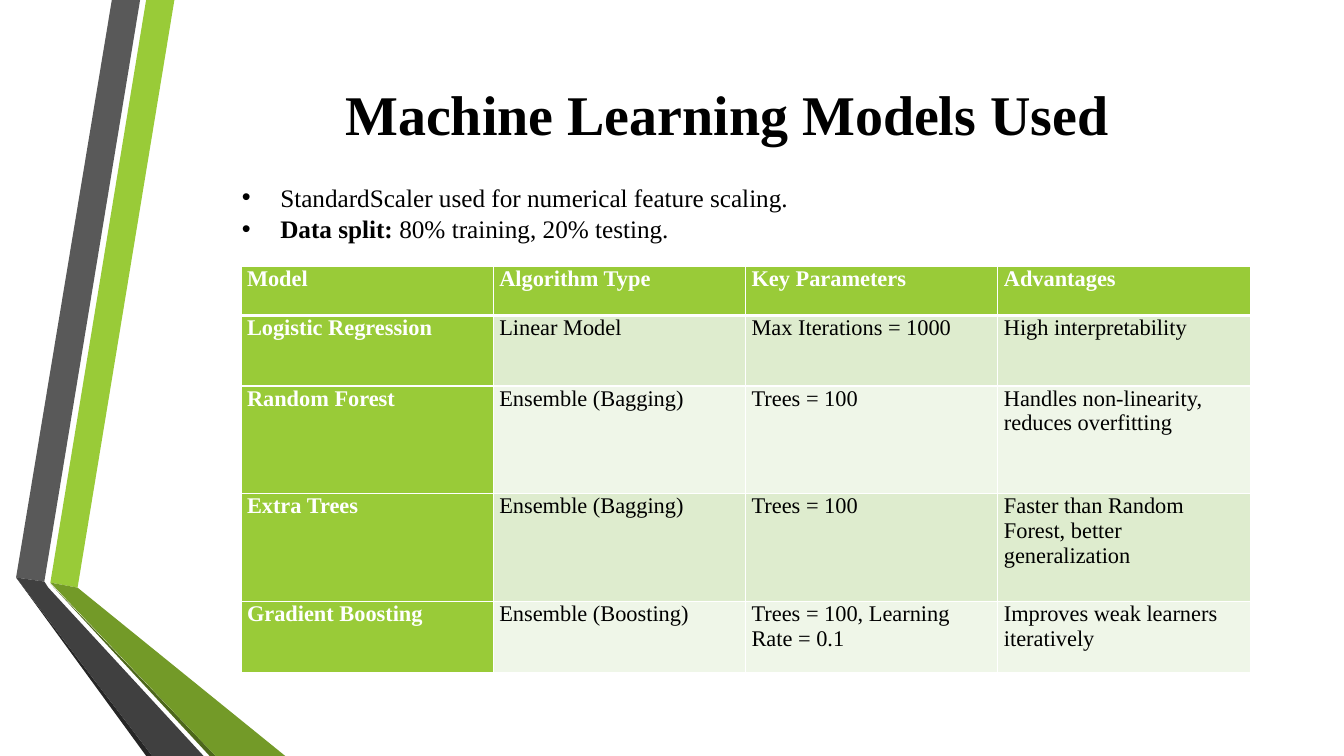
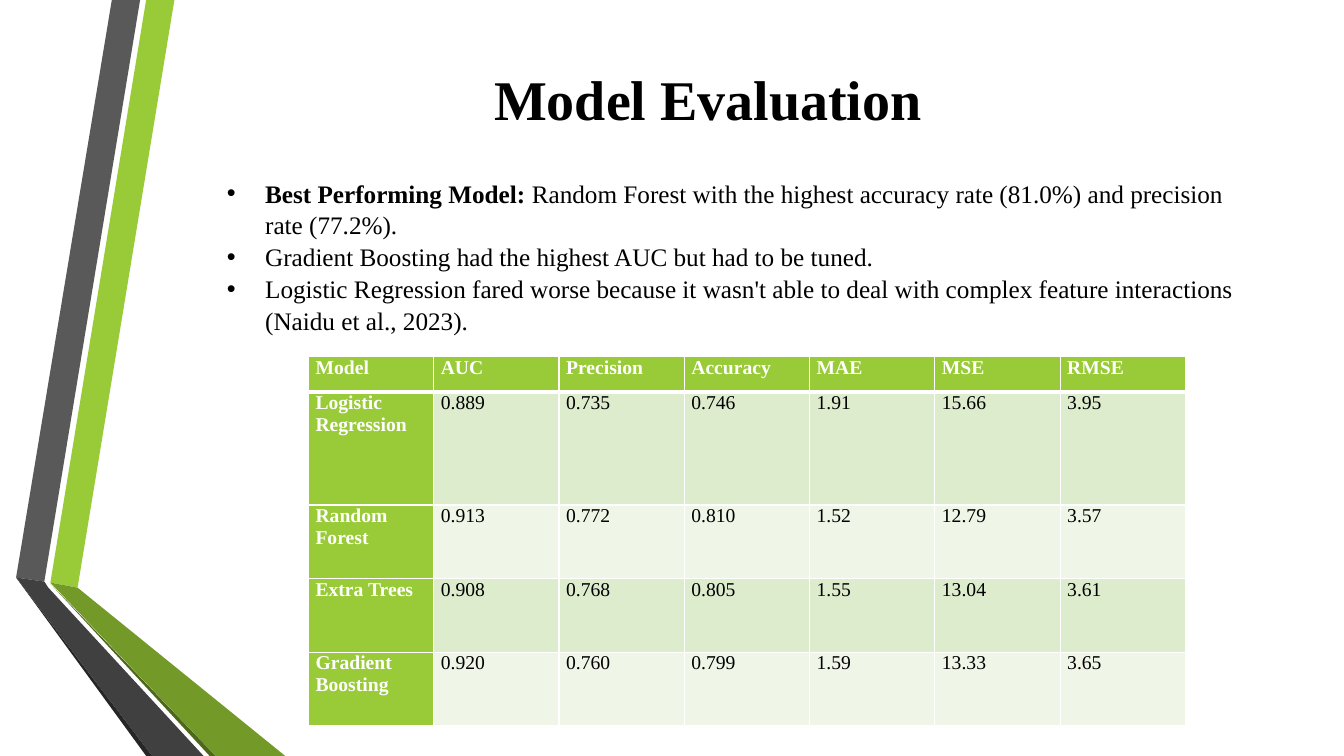
from dataclasses import dataclass

from lxml.etree import SubElement
from pptx import Presentation
from pptx.dml.color import RGBColor
from pptx.enum.text import MSO_ANCHOR, MSO_AUTO_SIZE, PP_ALIGN
from pptx.oxml.ns import qn
from pptx.util import Inches, Pt


@dataclass(frozen=True)
class Theme:
    font: str = "Times New Roman"
    ink: str = "000000"
    paper: str = "FFFFFF"
    green: str = "99CB38"
    green_dark: str = "739A28"
    green_deep: str = "4D671B"
    gray: str = "595959"
    gray_dark: str = "404040"
    gray_deep: str = "262626"
    row_tints: tuple = ("DEECCE", "EFF6E8")
    title_size: int = 40
    list_size: int = 18
    rule: int = 1
    header_rule: int = 3


THEME = Theme()

RIBBON = [
    (THEME.green, [(0.5, 5.78), (0.77, 5.83), (1.73, 0), (1.45, 0)]),
    (THEME.gray, [(1.39, 0), (1.11, 0), (0.16, 5.73), (0.44, 5.77)]),
    (THEME.gray_deep, [(0.16, 5.73), (1.45, 7.5), (1.51, 7.5)]),
    (THEME.green_deep, [(0.5, 5.79), (2.08, 7.5), (2.14, 7.5)]),
    (THEME.green_dark, [(0.5, 5.78), (2.14, 7.5), (2.83, 7.5), (0.77, 5.83)]),
    (THEME.gray_dark, [(2.02, 7.5), (0.48, 5.83), (0.44, 5.77), (0.16, 5.73), (1.51, 7.5)]),
]

# Places are left, top, width, height in inches; each bullet is a bold lead and its text.
SLIDES = [
    {
        "title": "Machine Learning Models Used",
        "title_place": (1.73, 0.61, 10.96, 1.03),
        "bullets": [
            ("", "StandardScaler used for numerical feature scaling."),
            ("Data split:", " 80% training, 20% testing."),
        ],
        "bullets_place": (2.3, 1.74, 10.18, 0.71),
        "table_place": (2.39, 2.64, 10.01, 4.03),
        "row_heights": (0.49, 0.7, 1.07, 1.07, 0.7),
        "cell_size": 16,
        "cell_inset": 0.06,
        "rows": [
            ("Model", "Algorithm Type", "Key Parameters", "Advantages"),
            ("Logistic Regression", "Linear Model", "Max Iterations = 1000", "High interpretability"),
            ("Random Forest", "Ensemble (Bagging)", "Trees = 100",
             "Handles non-linearity, reduces overfitting"),
            ("Extra Trees", "Ensemble (Bagging)", "Trees = 100",
             "Faster than Random Forest, better generalization"),
            ("Gradient Boosting", "Ensemble (Boosting)", "Trees = 100, Learning Rate = 0.1",
             "Improves weak learners iteratively"),
        ],
    },
    {
        "title": "Model Evaluation",
        "title_place": (1.54, 0.56, 10.96, 0.83),
        "bullets": [
            ("Best Performing Model: ",
             "Random Forest with the highest accuracy rate (81.0%) and precision rate (77.2%)."),
            ("", "Gradient Boosting had the highest AUC but had to be tuned."),
            ("", "Logistic Regression fared worse because it wasn't able to deal with "
                 "complex feature interactions (Naidu et al., 2023)."),
        ],
        "bullets_place": (2.15, 1.7, 10.34, 1.62),
        "table_place": (3.06, 3.54, 8.7, 3.66),
        "row_heights": (0.35, 1.12, 0.73, 0.73, 0.73),
        "cell_size": 14,
        "cell_inset": 0.07,
        "rows": [
            ("Model", "AUC", "Precision", "Accuracy", "MAE", "MSE", "RMSE"),
            ("Logistic Regression", "0.889", "0.735", "0.746", "1.91", "15.66", "3.95"),
            ("Random Forest", "0.913", "0.772", "0.810", "1.52", "12.79", "3.57"),
            ("Extra Trees", "0.908", "0.768", "0.805", "1.55", "13.04", "3.61"),
            ("Gradient Boosting", "0.920", "0.760", "0.799", "1.59", "13.33", "3.65"),
        ],
    },
]


def write(paragraph, text, *, size, color=THEME.ink, bold=False):
    run = paragraph.add_run()
    run.text = text
    run.font.name = THEME.font
    run.font.size = Pt(size)
    run.font.bold = bold
    run.font.color.rgb = RGBColor.from_string(color)


def rule_cell(cell, top, bottom):
    """Draw the four cell borders; must run before the cell gets its fill."""
    properties = cell._tc.get_or_add_tcPr()
    for side, width in (("L", THEME.rule), ("R", THEME.rule), ("T", top), ("B", bottom)):
        line = SubElement(properties, qn(f"a:ln{side}"), w=str(Pt(width)))
        fill = SubElement(line, qn("a:solidFill"))
        SubElement(fill, qn("a:srgbClr"), val=THEME.paper)


deck = Presentation()
deck.slide_width, deck.slide_height = Inches(13.33), Inches(7.5)
layout = deck.slide_layouts[1]

for number, content in enumerate(SLIDES):
    slide = deck.slides.add_slide(layout)

    # The ribbon is drawn once and moved behind the layout's placeholders.
    if number == 0:
        for depth, (color, corners) in enumerate(RIBBON):
            points = [(Inches(x), Inches(y)) for x, y in corners]
            outline = slide.shapes.build_freeform(*points[0])
            outline.add_line_segments(points[1:], close=True)
            strip = outline.convert_to_shape()
            strip.shadow.inherit = False
            strip.fill.solid()
            strip.fill.fore_color.rgb = RGBColor.from_string(color)
            strip.line.fill.background()
            layout.shapes.element.insert(2 + depth, strip.element)

    title, bullets = slide.shapes.title, slide.placeholders[1]
    for holder, place in ((title, content["title_place"]), (bullets, content["bullets_place"])):
        holder.left, holder.top, holder.width, holder.height = map(Inches, place)
        holder.text_frame.auto_size = MSO_AUTO_SIZE.NONE

    title.text_frame.vertical_anchor = MSO_ANCHOR.MIDDLE
    heading = title.text_frame.paragraphs[0]
    heading.alignment = PP_ALIGN.CENTER
    write(heading, content["title"], size=THEME.title_size, bold=True)

    for index, (lead, rest) in enumerate(content["bullets"]):
        frame = bullets.text_frame
        bullet = frame.add_paragraph() if index else frame.paragraphs[0]
        bullet.space_before = Pt(0)
        bullet.line_spacing = 1.05
        indent = bullet._p.get_or_add_pPr()
        indent.set("marL", str(Inches(0.38)))
        indent.set("indent", str(Inches(-0.38)))
        if lead:
            write(bullet, lead, size=THEME.list_size, bold=True)
        write(bullet, rest, size=THEME.list_size)

    rows = content["rows"]
    left, top, width, height = map(Inches, content["table_place"])
    table = slide.shapes.add_table(len(rows), len(rows[0]), left, top, width, height).table
    table.first_col = True
    for column in table.columns:
        column.width = width // len(rows[0])

    for r, (values, row_height) in enumerate(zip(rows, content["row_heights"])):
        table.rows[r].height = Inches(row_height)
        for c, value in enumerate(values):
            cell = table.cell(r, c)
            is_label = r == 0 or c == 0
            rule_cell(cell,
                      top=THEME.header_rule if r == 1 else THEME.rule,
                      bottom=THEME.header_rule if r == 0 else THEME.rule)
            cell.fill.solid()
            tint = THEME.green if is_label else THEME.row_tints[(r - 1) % 2]
            cell.fill.fore_color.rgb = RGBColor.from_string(tint)
            cell.margin_left = cell.margin_right = Inches(content["cell_inset"])
            cell.margin_top = cell.margin_bottom = 0
            entry = cell.text_frame.paragraphs[0]
            entry.space_after = Pt(8)
            write(entry, value, size=content["cell_size"], bold=is_label,
                  color=THEME.paper if is_label else THEME.ink)

deck.save("out.pptx")
